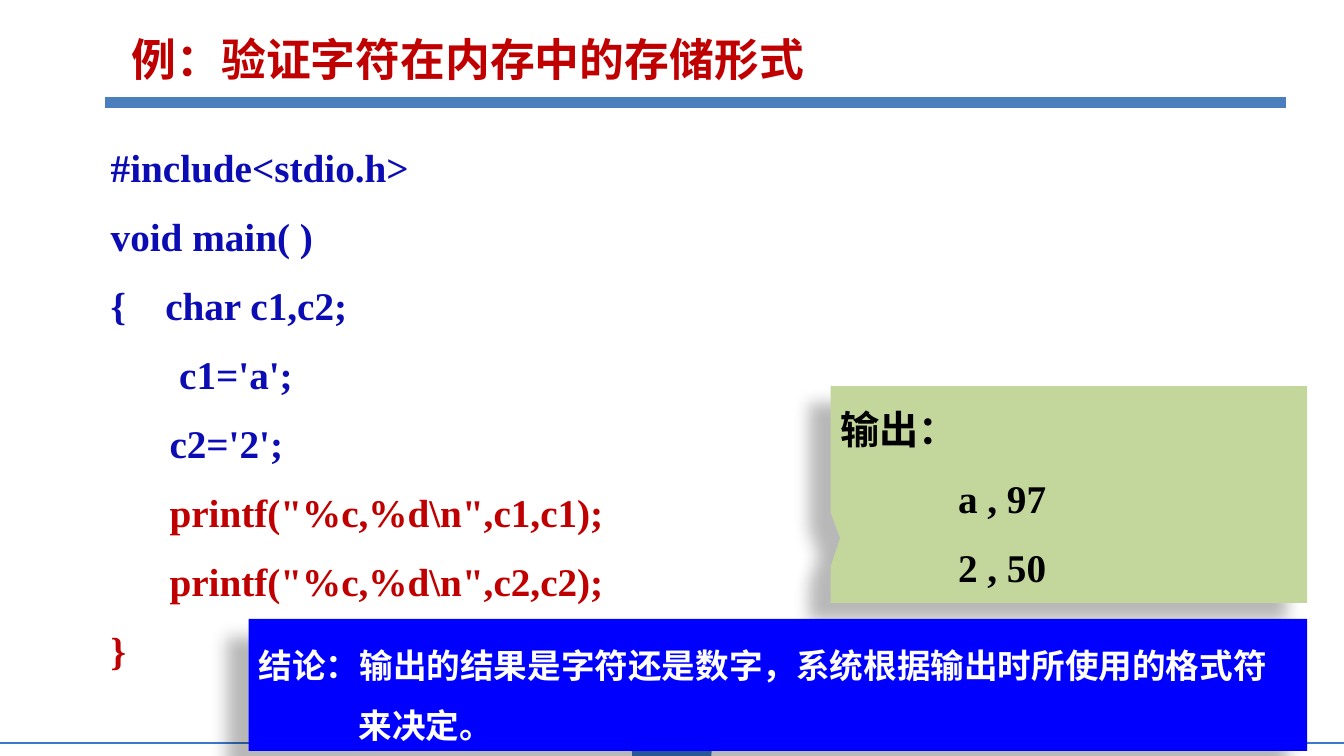
from lxml import etree
from pptx import Presentation
from pptx.dml.color import RGBColor
from pptx.enum import shapes, text
from pptx.oxml import ns
from pptx.util import Pt

SERIF = "Times New Roman"
SANS = "Noto Sans CJK SC"
NAVY, RED, BLUE = "0C0CB4", "C00000", "3B79CE"
CODE = [
    ("#include<stdio.h>", NAVY),
    ("void main( )", NAVY),
    ("{    char c1,c2;", NAVY),
    ("       c1='a';", NAVY),
    ("\tc2='2';", NAVY),
    ("\tprintf(\"%c,%d\\n\",c1,c1);", RED),
    ("\tprintf(\"%c,%d\\n\",c2,c2);", RED),
    ("}", RED),
]


def rgb(value):
    return RGBColor.from_string(value)


def add_line(slide, left, right, y, color, width):
    line = slide.shapes.add_connector(
        shapes.MSO_CONNECTOR.STRAIGHT, Pt(left), Pt(y), Pt(right), Pt(y))
    line.line.color.rgb = rgb(color)
    line.line.width = Pt(width)
    etree.SubElement(line._element.spPr, ns.qn("a:effectLst"))


def add_filled(slide, kind, box, color):
    shape = slide.shapes.add_shape(kind, *map(Pt, box))
    shape.shadow.inherit = False
    shape.fill.solid()
    shape.fill.fore_color.rgb = rgb(color)
    shape.line.fill.background()
    return shape


def add_shadow(shape):
    """Cast a soft shadow down and to the left."""
    effects = shape._element.spPr.find(ns.qn("a:effectLst"))
    shadow = etree.SubElement(
        effects, ns.qn("a:outerShdw"), blurRad=str(Pt(11.8)),
        dist=str(Pt(19.7)), dir=str(141 * 60000), algn="tr", rotWithShape="0")
    color = etree.SubElement(shadow, ns.qn("a:srgbClr"), val="000000")
    etree.SubElement(color, ns.qn("a:alpha"), val="28000")


def add_text_box(slide, box):
    return slide.shapes.add_textbox(*map(Pt, box))


def write(shape, lines, size, font, spacing, gap=0, anchor=text.MSO_ANCHOR.TOP):
    """Write bold lines given as (words, color, left margin, first-line indent)."""
    frame = shape.text_frame
    frame.word_wrap = True
    frame.vertical_anchor = anchor
    for index, (words, color, margin, indent) in enumerate(lines):
        paragraph = frame.add_paragraph() if index else frame.paragraphs[0]
        paragraph.text = words
        paragraph.alignment = text.PP_ALIGN.LEFT
        paragraph.line_spacing = spacing
        paragraph.space_before = Pt(gap if index else 0)
        properties = paragraph._p.get_or_add_pPr()
        properties.set("marL", str(Pt(margin)))
        properties.set("indent", str(Pt(indent)))
        for run in paragraph.runs:
            run.font.size = Pt(size)
            run.font.bold = True
            run.font.name = font
            run.font.color.rgb = rgb(color)
            etree.SubElement(run.font._element, ns.qn("a:ea"), typeface=SANS)


def add_footer(slide):
    badge = add_filled(slide, shapes.MSO_SHAPE.CHORD, (451.4, 508.3, 56.9, 56.9), BLUE)
    badge.rotation = 112.4
    badge.adjustments[0] = 35.77
    badge.adjustments[1] = 153.29
    add_line(slide, 516.2, 960, 530.6, BLUE, 1.77)
    add_line(slide, 0, 443.5, 530.6, BLUE, 1.77)


def add_heading(slide):
    add_line(slide, 75, 918.5, 73.3, "4B7EBC", 8)
    title = add_text_box(slide, (87, 0, 726, 65.5))
    write(title, [("例：验证字符在内存中的存储形式", RED, 0, 0)], 32, SANS, 1.5)


def add_code(slide):
    code = add_text_box(slide, (72, 88.6, 763, 402.5))
    write(code, [(words, color, 42, -42) for words, color in CODE],
          28, SERIF, 1.3, 5.6)


def add_output(slide):
    callout = add_filled(slide, shapes.MSO_SHAPE.RECTANGULAR_CALLOUT,
                         (593.3, 275.8, 340.3, 154.8), "C3D69B")
    callout.adjustments[0] = -0.48
    callout.adjustments[1] = 0.2
    add_shadow(callout)
    lines = [("输出：", "000000", 0, 0)]
    lines += [(words, "000000", 84, 0) for words in ("a , 97", "2 , 50")]
    write(callout, lines, 28, SERIF, 1.3, 5.6)


def add_conclusion(slide):
    banner = add_filled(slide, shapes.MSO_SHAPE.RECTANGLE,
                        (177.7, 442, 756, 94.4), "0000FF")
    add_shadow(banner)
    words = "结论：输出的结果是字符还是数字，系统根据输出时所使用的格式符来决定。"
    write(banner, [(words, "FFFFFF", 71.3, -71.3)], 24, SANS, 1.5,
          anchor=text.MSO_ANCHOR.MIDDLE)


def main():
    presentation = Presentation()
    presentation.slide_width = Pt(960)
    presentation.slide_height = Pt(540)
    slide = presentation.slides.add_slide(presentation.slide_layouts[6])
    add_footer(slide)
    add_heading(slide)
    add_code(slide)
    add_output(slide)
    add_conclusion(slide)
    presentation.save("out.pptx")


if __name__ == "__main__":
    main()
